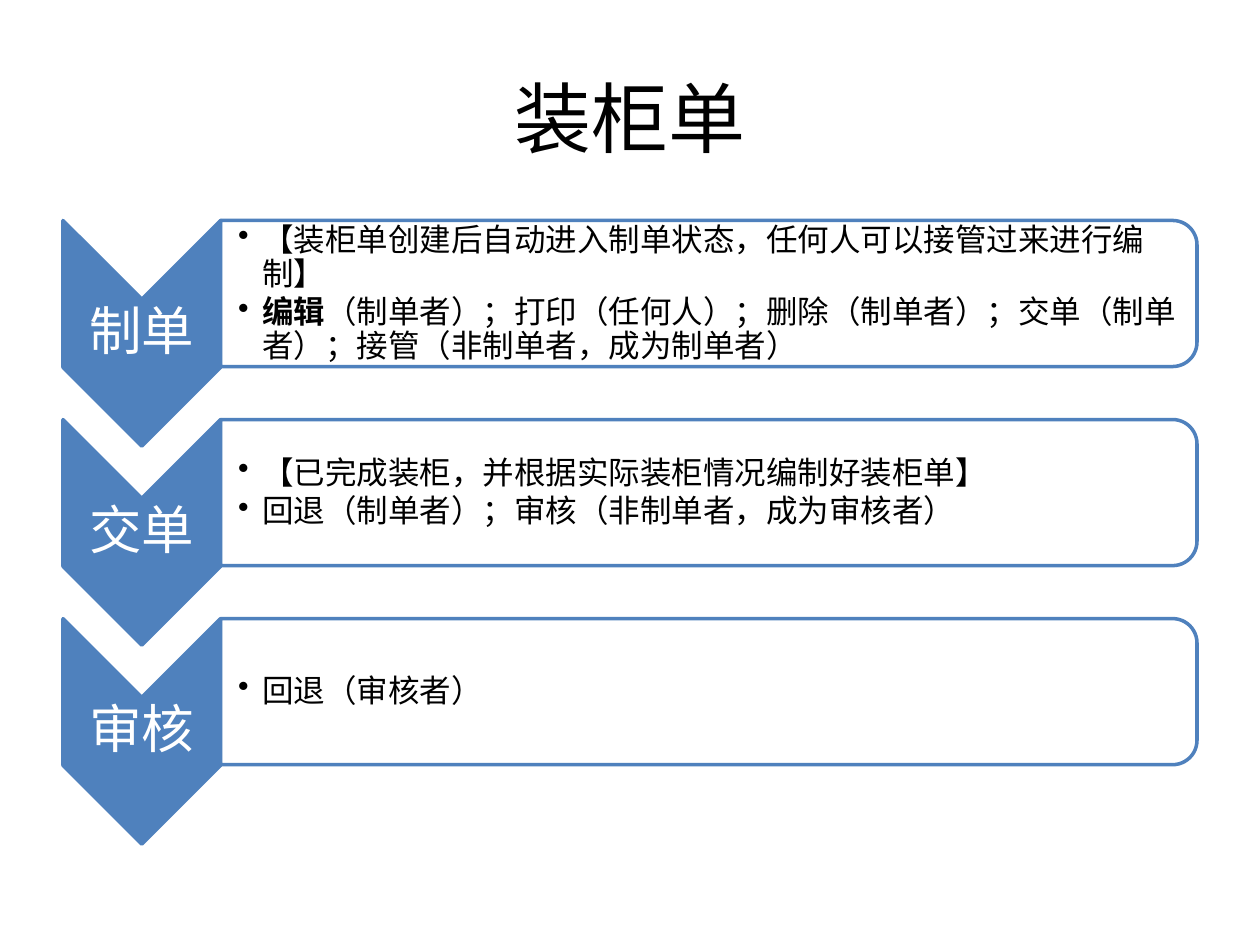
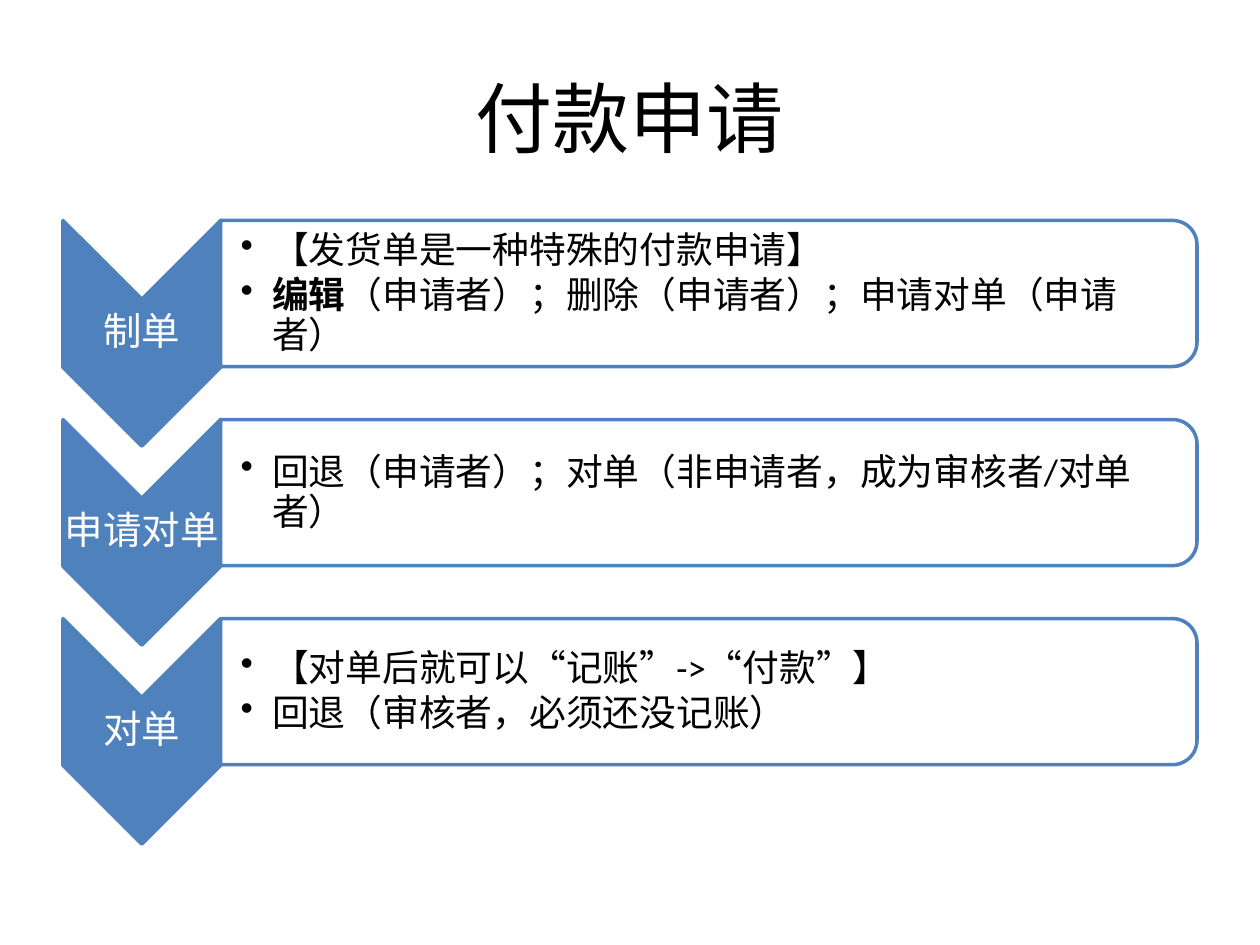
from lxml import etree
from pptx import Presentation
from pptx.dml.color import RGBColor
from pptx.enum.shapes import MSO_SHAPE
from pptx.enum.text import MSO_ANCHOR, PP_ALIGN
from pptx.oxml.ns import qn
from pptx.util import Inches, Pt

CHEVRON = MSO_SHAPE.CHEVRON
PANEL = MSO_SHAPE.ROUND_2_SAME_RECTANGLE
MIDDLE = MSO_ANCHOR.MIDDLE
CENTER = PP_ALIGN.CENTER
LEFT = PP_ALIGN.LEFT

BLUE = RGBColor(0x4F, 0x81, 0xBD)
WHITE = RGBColor(0xFF, 0xFF, 0xFF)
BLACK = RGBColor(0x00, 0x00, 0x00)
FONT = "Calibri"

STEP_LEFT, STEP_TOP, STEP_PITCH = 0.5, 1.75, 1.58
STEP_WIDTH = 9
ARROW_WIDTH, ARROW_HEIGHT = 1.25, 1.79
PANEL_HEIGHT = 1.16

PAGES = [
    {
        "title": "装柜单",
        "label_size": 30, "body_size": 18, "indent": 0.19, "inset": 0.14,
        "steps": [
            ("制单", [
                ("", "【装柜单创建后自动进入制单状态，任何人可以接管过来进行编制】"),
                ("编辑", "（制单者）；打印（任何人）；删除（制单者）；交单（制单者）；"
                         "接管（非制单者，成为制单者）"),
            ]),
            ("交单", [
                ("", "【已完成装柜，并根据实际装柜情况编制好装柜单】"),
                ("", "回退（制单者）；审核（非制单者，成为审核者）"),
            ]),
            ("审核", [("", "回退（审核者）")]),
        ],
    },
    {
        "title": "付款申请",
        "label_size": 22, "body_size": 21, "indent": 0.25, "inset": 0.16,
        "steps": [
            ("制单", [
                ("", "【发货单是一种特殊的付款申请】"),
                ("编辑", "（申请者）；删除（申请者）；申请对单（申请者）"),
            ]),
            ("申请对单", [("", "回退（申请者）；对单（非申请者，成为审核者/对单者）")]),
            ("对单", [
                ("", "【对单后就可以“记账”->“付款”】"),
                ("", "回退（审核者，必须还没记账）"),
            ]),
        ],
    },
]


def set_all(target, values):
    """Set each named attribute of the target."""
    for name, value in values.items():
        setattr(target, name, value)


def add_span(para, text, size, color, bold=False):
    """Add one run of text to a paragraph."""
    span = para.add_run()
    span.text = text
    set_all(span.font, {"name": FONT, "size": Pt(size), "bold": bold})
    span.font.color.rgb = color


def add_turned_shape(page, kind, left, top, width, height, fill):
    """Add an outlined shape, turned clockwise, that covers the given box."""
    shift = (width - height) / 2
    shape = page.shapes.add_shape(kind, Inches(left + shift), Inches(top - shift),
                                  Inches(height), Inches(width))
    shape.rotation = 90
    shape.shadow.inherit = False
    shape.fill.solid()
    shape.fill.fore_color.rgb = fill
    shape.line.color.rgb = BLUE
    shape.line.width = Pt(2)
    return shape


def add_frame(page, left, top, width, height, inset_left, inset):
    """Add a wrapped, vertically centred text box and return its frame."""
    box = page.shapes.add_textbox(Inches(left), Inches(top), Inches(width), Inches(height))
    frame = box.text_frame
    set_all(frame, {
        "word_wrap": True, "vertical_anchor": MIDDLE,
        "margin_left": Inches(inset_left), "margin_right": Inches(inset),
        "margin_top": Inches(inset), "margin_bottom": Inches(inset),
    })
    return frame


def add_bullet(para, indent):
    """Give a paragraph a hanging round bullet."""
    props = para._p.get_or_add_pPr()
    props.set("marL", str(Inches(indent)))
    props.set("indent", str(-Inches(indent)))
    etree.SubElement(props, qn("a:buChar")).set("char", "•")


def add_arrow(page, left, top, label, size):
    """Draw the downward chevron with its label."""
    add_turned_shape(page, CHEVRON, left, top, ARROW_WIDTH, ARROW_HEIGHT, BLUE)
    notch = ARROW_WIDTH / 2
    frame = add_frame(page, left, top + notch, ARROW_WIDTH,
                      ARROW_HEIGHT - 2 * notch, 0.01, 0.01)
    para = frame.paragraphs[0]
    set_all(para, {"alignment": CENTER, "line_spacing": 0.9, "space_after": Pt(size * 0.35)})
    add_span(para, label, size, WHITE)


def add_panel(page, left, top, width, items, style):
    """Draw the rounded panel with its bulleted items."""
    shape = add_turned_shape(page, PANEL, left, top, width, PANEL_HEIGHT, WHITE)
    tint = shape.fill._xPr.find(qn("a:solidFill"))[0]
    etree.SubElement(tint, qn("a:alpha")).set("val", "90000")
    frame = add_frame(page, left, top + 0.06, width - 0.06, PANEL_HEIGHT - 0.11,
                      style["inset"], 0.01)
    size = style["body_size"]
    for index, (lead, text) in enumerate(items):
        para = frame.add_paragraph() if index else frame.paragraphs[0]
        set_all(para, {"level": 1, "alignment": LEFT, "line_spacing": 0.9,
                       "space_after": Pt(size * 0.15)})
        add_bullet(para, style["indent"])
        if lead:
            add_span(para, lead, size, BLACK, bold=True)
        add_span(para, text, size, BLACK)


def add_title(page, text):
    """Place and format the title placeholder."""
    title = page.shapes.title
    set_all(title, {"left": Inches(0.5), "top": Inches(0.3),
                    "width": Inches(9), "height": Inches(1.25)})
    title.text_frame.vertical_anchor = MIDDLE
    para = title.text_frame.paragraphs[0]
    para.alignment = CENTER
    add_span(para, text, 44, BLACK)


def add_process_page(deck, content):
    """Build one slide with a title and a column of steps."""
    page = deck.slides.add_slide(deck.slide_layouts[5])
    add_title(page, content["title"])
    for index, (label, items) in enumerate(content["steps"]):
        top = STEP_TOP + index * STEP_PITCH
        add_arrow(page, STEP_LEFT, top, label, content["label_size"])
        add_panel(page, STEP_LEFT + ARROW_WIDTH, top, STEP_WIDTH - ARROW_WIDTH, items, content)


def main():
    """Build and save the deck."""
    deck = Presentation()
    set_all(deck, {"slide_width": Inches(10), "slide_height": Inches(7.5)})
    for content in PAGES:
        add_process_page(deck, content)
    deck.save("out.pptx")


main()
